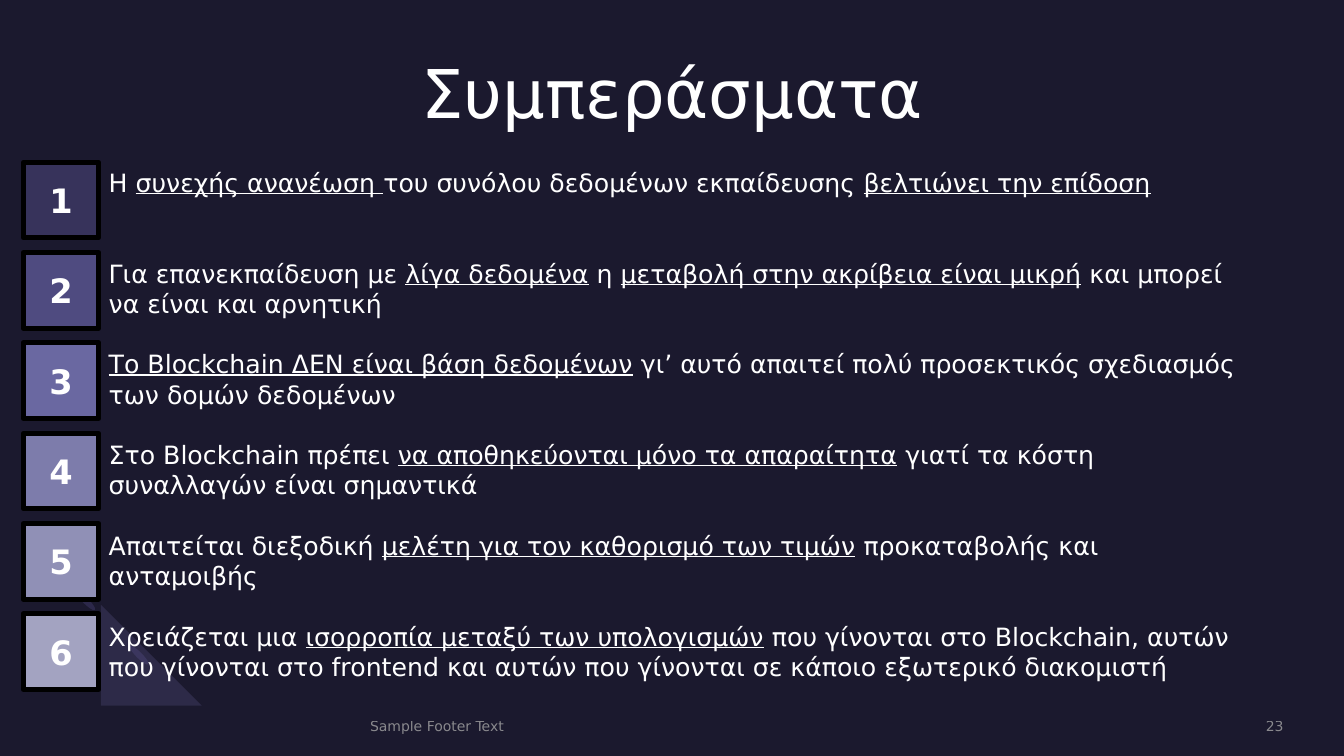
"""Build the conclusions slide: six numbered findings on a dark background."""
import pptx
import pptx.dml.color
import pptx.enum.shapes
import pptx.enum.text
import pptx.oxml
import pptx.oxml.ns
import pptx.util
from pptx.util import Inches

TITLE = "Συμπεράσματα"
FOOTER = "Sample Footer Text"
PAGE_NUMBER = "23"
CONCLUSIONS = [
    [("Η ", False), ("συνεχής ανανέωση ", True),
     ("του συνόλου δεδομένων εκπαίδευσης ", False), ("βελτιώνει την επίδοση", True)],
    [("Για επανεκπαίδευση με ", False), ("λίγα δεδομένα", True), (" η ", False),
     ("μεταβολή στην ακρίβεια είναι μικρή", True), (" και μπορεί να είναι και αρνητική", False)],
    [("Το Blockchain ΔΕΝ είναι βάση δεδομένων", True),
     (" γι’ αυτό απαιτεί πολύ προσεκτικός σχεδιασμός των δομών δεδομένων", False)],
    [("Στο Blockchain πρέπει ", False), ("να αποθηκεύονται μόνο τα απαραίτητα", True),
     (" γιατί τα κόστη συναλλαγών είναι σημαντικά", False)],
    [("Απαιτείται διεξοδική ", False), ("μελέτη για τον καθορισμό των τιμών", True),
     (" προκαταβολής και ανταμοιβής", False)],
    [("Χρειάζεται μια ", False), ("ισορροπία μεταξύ των υπολογισμών", True),
     (" που γίνονται στο Blockchain, αυτών που γίνονται στο frontend"
      " και αυτών που γίνονται σε κάποιο εξωτερικό διακομιστή", False)],
]
LINES_BEFORE = [0, 2, 1, 1, 1, 1]
ARC_ENDS = [(1.35, 6.37), (0.82, 5.83)]
ARC_OUTER = [(0.76, 6.59), (0.56, 6.39), (0.58, 6.05), (0.81, 5.82)]
ARC_INNER = [[(0.99, 6), (0.87, 6.11), (0.86, 6.29), (0.96, 6.38)],
             [(0.96, 6.38), (1.06, 6.48), (1.23, 6.47), (1.35, 6.36)]]
ARC_CLOSE = [(1.52, 6.54), (1.3, 6.76), (0.95, 6.79), (0.76, 6.59)]

THEME = {
    "font": "DejaVu Sans", "background": "1B192E", "text": "FFFFFF", "muted": "A6A6A6",
    "border": "000000", "arc": "7771B2", "arc_end": "2C284A",
    "squares": ["37335B", "4F4B80", "6A68A1", "7D7CAB", "9090B6", "A3A3C1"],
    "title_size": 48, "number_size": 24, "body_size": 18, "footer_size": 10,
    "body_line": 21.6, "border_width": 3.5,
}
SQUARE_LEFT, SQUARE_TOP, SQUARE_SIZE, SQUARE_PITCH = 0.23, 1.61, 0.75, 0.896
ALIGN = pptx.enum.text.PP_ALIGN
ANCHOR = pptx.enum.text.MSO_ANCHOR
SHAPE = pptx.enum.shapes.MSO_SHAPE


def color(name):
    return pptx.dml.color.RGBColor.from_string(name)


def set_opacity(fill_owner, percent):
    for rgb in fill_owner.iter(pptx.oxml.ns.qn("a:srgbClr")):
        alpha = pptx.oxml.parse_xml(
            f'<a:alpha {pptx.oxml.ns.nsdecls("a")} val="{percent * 1000}"/>')
        rgb.append(alpha)


def paint(shape, fill, border=None):
    shape.shadow.inherit = False
    shape.fill.solid()
    shape.fill.fore_color.rgb = color(fill)
    if border:
        shape.line.color.rgb = color(border)
        shape.line.width = pptx.util.Pt(THEME["border_width"])
    else:
        shape.line.fill.background()


def write(paragraph, text, size, ink=THEME["text"], bold=False, underline=False, opacity=None):
    run = paragraph.add_run()
    run.text = text
    run.font.name = THEME["font"]
    run.font.size = pptx.util.Pt(size)
    run.font.color.rgb = color(ink)
    run.font.bold = bold
    run.font.underline = underline
    if opacity:
        set_opacity(run.font._element, opacity)


def prepare_frame(shape, anchor=ANCHOR.TOP, inset=0):
    frame = shape.text_frame
    frame.word_wrap = True
    frame.vertical_anchor = anchor
    frame.margin_left = frame.margin_right = Inches(inset)
    frame.margin_top = frame.margin_bottom = Inches(inset / 2)
    return frame


def add_line(slide, box, text, align, anchor=ANCHOR.TOP, spacing=None, **style):
    shape = slide.shapes.add_textbox(*map(Inches, box))
    paragraph = prepare_frame(shape, anchor).paragraphs[0]
    paragraph.alignment = align
    paragraph.line_spacing = spacing
    write(paragraph, text, **style)


def curve(points, steps=12):
    result = []
    for step in range(steps + 1):
        t = step / steps
        weights = ((1 - t) ** 3, 3 * t * (1 - t) ** 2, 3 * t * t * (1 - t), t ** 3)
        result.append(tuple(sum(w * point[axis] for w, point in zip(weights, points))
                            for axis in (0, 1)))
    return result


def add_arc(slide):
    for left, top in ARC_ENDS:
        end = slide.shapes.add_shape(
            SHAPE.OVAL, Inches(left), Inches(top), Inches(0.06), Inches(0.26))
        end.rotation = 135
        paint(end, THEME["arc_end"])
    outline = [point for part in (ARC_OUTER, *ARC_INNER, ARC_CLOSE) for point in curve(part)]
    builder = slide.shapes.build_freeform(*outline[0], scale=Inches(1))
    builder.add_line_segments(outline[1:], close=True)
    arc = builder.convert_to_shape()
    paint(arc, THEME["arc"])
    set_opacity(arc._element.spPr, 20)


def add_conclusions(slide):
    box = slide.shapes.add_textbox(*map(Inches, (0.98, 1.61, 11.51, 5.25)))
    frame = prepare_frame(box, inset=0.1)
    for index, (runs, lines) in enumerate(zip(CONCLUSIONS, LINES_BEFORE)):
        paragraph = frame.add_paragraph() if index else frame.paragraphs[0]
        paragraph.line_spacing = pptx.util.Pt(THEME["body_line"])
        if lines:
            paragraph.space_before = pptx.util.Pt(lines * THEME["body_line"])
        for text, underline in runs:
            write(paragraph, text, THEME["body_size"], underline=underline)


def add_numbers(slide):
    for index, fill in enumerate(THEME["squares"]):
        square = slide.shapes.add_shape(
            SHAPE.RECTANGLE, Inches(SQUARE_LEFT), Inches(SQUARE_TOP + index * SQUARE_PITCH),
            Inches(SQUARE_SIZE), Inches(SQUARE_SIZE))
        paint(square, fill, THEME["border"])
        paragraph = prepare_frame(square, ANCHOR.MIDDLE, inset=0.1).paragraphs[0]
        paragraph.alignment = ALIGN.CENTER
        write(paragraph, str(index + 1), THEME["number_size"], bold=True)


def main():
    presentation = pptx.Presentation()
    presentation.slide_width = Inches(13.33)
    presentation.slide_height = Inches(7.5)
    slide = presentation.slides.add_slide(presentation.slide_layouts[6])
    slide.background.fill.solid()
    slide.background.fill.fore_color.rgb = color(THEME["background"])
    add_arc(slide)
    add_line(slide, (0.6, 0.6, 12.14, 0.79), TITLE, ALIGN.CENTER,
             spacing=0.9, size=THEME["title_size"])
    add_conclusions(slide)
    add_numbers(slide)
    footer_style = {"size": THEME["footer_size"], "ink": THEME["muted"], "opacity": 80}
    add_line(slide, (3.67, 7.12, 6.98, 0.17), FOOTER, ALIGN.LEFT, ANCHOR.MIDDLE, **footer_style)
    add_line(slide, (10.88, 7.12, 1.85, 0.17), PAGE_NUMBER, ALIGN.RIGHT, ANCHOR.MIDDLE,
             **footer_style)
    presentation.save("out.pptx")


if __name__ == "__main__":
    main()
